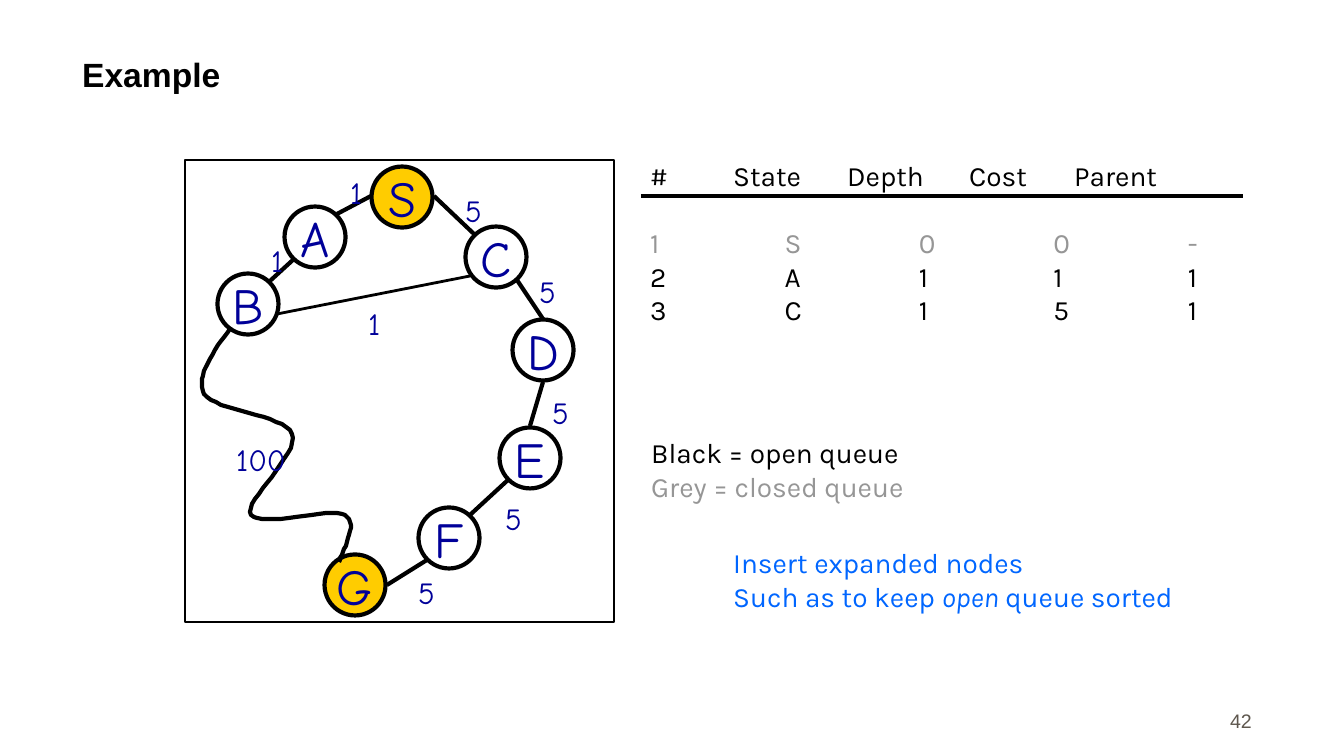
import lxml.etree
import pptx
import pptx.dml.color
import pptx.enum.shapes
import pptx.enum.text
import pptx.oxml.ns
import pptx.util

SCALE = 914400 / 134.4  # EMU in one px
COLORS = {
    "black": "000000", "white": "FFFFFF", "gold": "FFCC00", "navy": "000099",
    "grey": "969696", "blue": "0066FF", "footer": "5E574E",
}
ALIGN = pptx.enum.text.PP_ALIGN
ANCHOR = pptx.enum.text.MSO_ANCHOR
SHAPE = pptx.enum.shapes.MSO_SHAPE

NODE_SIZE = 61
NODES = {  # name: centre and fill
    "S": (217, 37, "gold"), "A": (130, 77, "white"), "C": (311, 97, "white"),
    "B": (63, 144, "white"), "D": (358, 190, "white"), "E": (345, 298, "white"),
    "F": (264, 378, "white"), "G": (170, 425, "gold"),
}
EDGES = [  # start, end, line width, cost, left and top of the cost
    ((186, 36), (152, 54), 2.25, "1", (152, 7)),
    ((249, 36), (289, 74), 2.25, "5", (267, 25)),
    ((109, 99), (85, 121), 2.25, "1", (73, 75)),
    ((92, 154), (285, 116), 1.5, "1", (170, 138)),
    ((332, 120), (358, 159), 2.25, "5", (341, 106)),
    ((358, 222), (345, 266), 2.25, "5", (354, 227)),
    ((323, 320), (285, 355), 2.25, "5", (307, 333)),
    ((242, 400), (202, 425), 2.25, "5", (220, 407)),
]
WINDING_START = (46, 167)
WINDING_CURVES = [  # two control points and an end point each
    ((29, 192), (10, 216), (19, 234)),
    ((30, 251), (99, 254), (107, 274)),
    ((115, 294), (58, 341), (66, 355)),
    ((76, 368), (146, 347), (160, 355)),
    ((175, 363), (156, 394), (154, 402)),
]


def px(length):
    return pptx.util.Emu(round(length * SCALE))


def rgb(name):
    return pptx.dml.color.RGBColor.from_string(COLORS[name])


def set_font(font, name, size, color, bold=None):
    font.name = name
    font.size = pptx.util.Pt(size)
    font.color.rgb = rgb(color)
    font.bold = bold


def set_line(shape, width):
    shape.line.color.rgb = rgb("black")
    shape.line.width = pptx.util.Pt(width)


def add_text(page, box, lines, name, size, bold=None, align=None, anchor=ANCHOR.TOP, wrap=True):
    """Add a text box; each line is a pair of text and color name."""
    frame = page.shapes.add_textbox(*map(px, box)).text_frame
    frame.word_wrap = wrap
    frame.vertical_anchor = anchor
    for index, (text, color) in enumerate(lines):
        para = frame.add_paragraph() if index else frame.paragraphs[0]
        para.text = text
        para.alignment = align
        set_font(para.font, name, size, color, bold)
    return frame


def add_line(page, start, end, width):
    line = page.shapes.add_connector(
        pptx.enum.shapes.MSO_CONNECTOR.STRAIGHT, *map(px, (*start, *end)))
    set_line(line, width)
    lxml.etree.SubElement(line._element.spPr, pptx.oxml.ns.qn("a:effectLst"))


def add_filled(page, kind, box, fill, width):
    shape = page.shapes.add_shape(kind, *map(px, box))
    shape.shadow.inherit = False
    shape.fill.solid()
    shape.fill.fore_color.rgb = rgb(fill)
    set_line(shape, width)
    return shape


def add_node(page, name, x, y, fill):
    """Add a lettered circle centred on x, y."""
    half = NODE_SIZE / 2
    box = (x - half, y - half, NODE_SIZE, NODE_SIZE)
    frame = add_filled(page, SHAPE.OVAL, box, fill, 2.25).text_frame
    frame.word_wrap = False
    frame.vertical_anchor = ANCHOR.MIDDLE
    para = frame.paragraphs[0]
    para.text = name
    para.alignment = ALIGN.CENTER
    set_font(para.font, "Comic Neue", 27, "navy")


def curve_points(start, curves, steps=16):
    """Sample joined cubic Bezier curves."""
    points = []
    for first, second, end in curves:
        for step in range(1, steps + 1):
            t = step / steps
            weights = ((1 - t) ** 3, 3 * t * (1 - t) ** 2, 3 * t * t * (1 - t), t ** 3)
            corners = (start, first, second, end)
            points.append(tuple(sum(w * corner[axis] for w, corner in zip(weights, corners))
                                for axis in (0, 1)))
        start = end
    return points


def add_graph(page, box):
    left, top = box[:2]

    def place(point):
        return left + point[0], top + point[1]

    def add_cost(cost, point, width):
        add_text(page, (*place(point), width, 51), [(cost, "navy")],
                 "Comic Neue", 16.5, wrap=False)

    add_filled(page, SHAPE.RECTANGLE, box, "white", 0.75)
    for name, (x, y, fill) in NODES.items():
        add_node(page, name, *place((x, y)), fill)

    builder = page.shapes.build_freeform(*place(WINDING_START), scale=SCALE)
    builder.add_line_segments(
        [place(point) for point in curve_points(WINDING_START, WINDING_CURVES)], close=False)
    path = builder.convert_to_shape()
    path.shadow.inherit = False
    path.fill.background()
    set_line(path, 2.25)
    add_cost("100", (38, 274), 79)

    for start, end, width, cost, cost_point in EDGES:
        add_line(page, place(start), place(end), width)
        add_cost(cost, cost_point, 42 if cost == "1" else 46)


def add_tabs(para, stops):
    tabs = lxml.etree.SubElement(para._p.get_or_add_pPr(), pptx.oxml.ns.qn("a:tabLst"))
    for stop in stops:
        lxml.etree.SubElement(tabs, pptx.oxml.ns.qn("a:tab"), pos=str(px(stop)), algn="l")


def add_queue(page, box):
    """Add the tabbed queue listing with a rule under its header."""
    left, top, width, height = box
    rows = [
        ("#\tState\tDepth\tCost\tParent", "black"),
        ("1\tS\t0\t0\t-", "grey"),
        ("2\tA\t1\t1\t1", "black"),
        ("3\tC\t1\t5\t1", "black"),
    ]
    frame = page.shapes.add_textbox(*map(px, box)).text_frame
    frame.word_wrap = True
    for index, (text, color) in enumerate(rows):
        para = frame.add_paragraph() if index else frame.paragraphs[0]
        para.text = text
        if index == 1:
            para.space_before = pptx.util.Pt(18)
        add_tabs(para, [134.4 * n for n in range(1, 5)] if index else (83, 197, 319, 424))
        set_font(para.font, "Karla", 15, color)
    add_line(page, (left + 4, top + 44), (left + 606, top + 44), 2.25)


def add_insert_note(page, box):
    frame = add_text(page, box, [("Insert expanded nodes", "blue"), ("", "blue")], "Karla", 15)
    for text in ("Such as to keep ", "open", " queue sorted"):
        span = frame.paragraphs[1].add_run()
        span.text = text
        span.font.italic = text == "open"


def main():
    deck = pptx.Presentation()
    deck.slide_width, deck.slide_height = px(1344), px(756)
    page = deck.slides.add_slide(deck.slide_layouts[6])
    add_text(page, (69, 26, 1199, 75), [("Example", "black")], "Arial", 18,
             bold=True, anchor=ANCHOR.BOTTOM)
    add_graph(page, (185, 160, 429, 462))
    add_queue(page, (637, 152, 630, 183))
    add_text(page, (638, 429, 286, 82),
             [("Black = open queue", "black"), ("Grey = closed queue", "grey")],
             "Karla", 15, wrap=False)
    add_insert_note(page, (720, 539, 466, 82))
    add_text(page, (985, 688, 280, 51), [("42", "footer")], "Arial", 10.5,
             align=ALIGN.RIGHT, anchor=ANCHOR.BOTTOM)
    deck.save("out.pptx")


if __name__ == "__main__":
    main()
